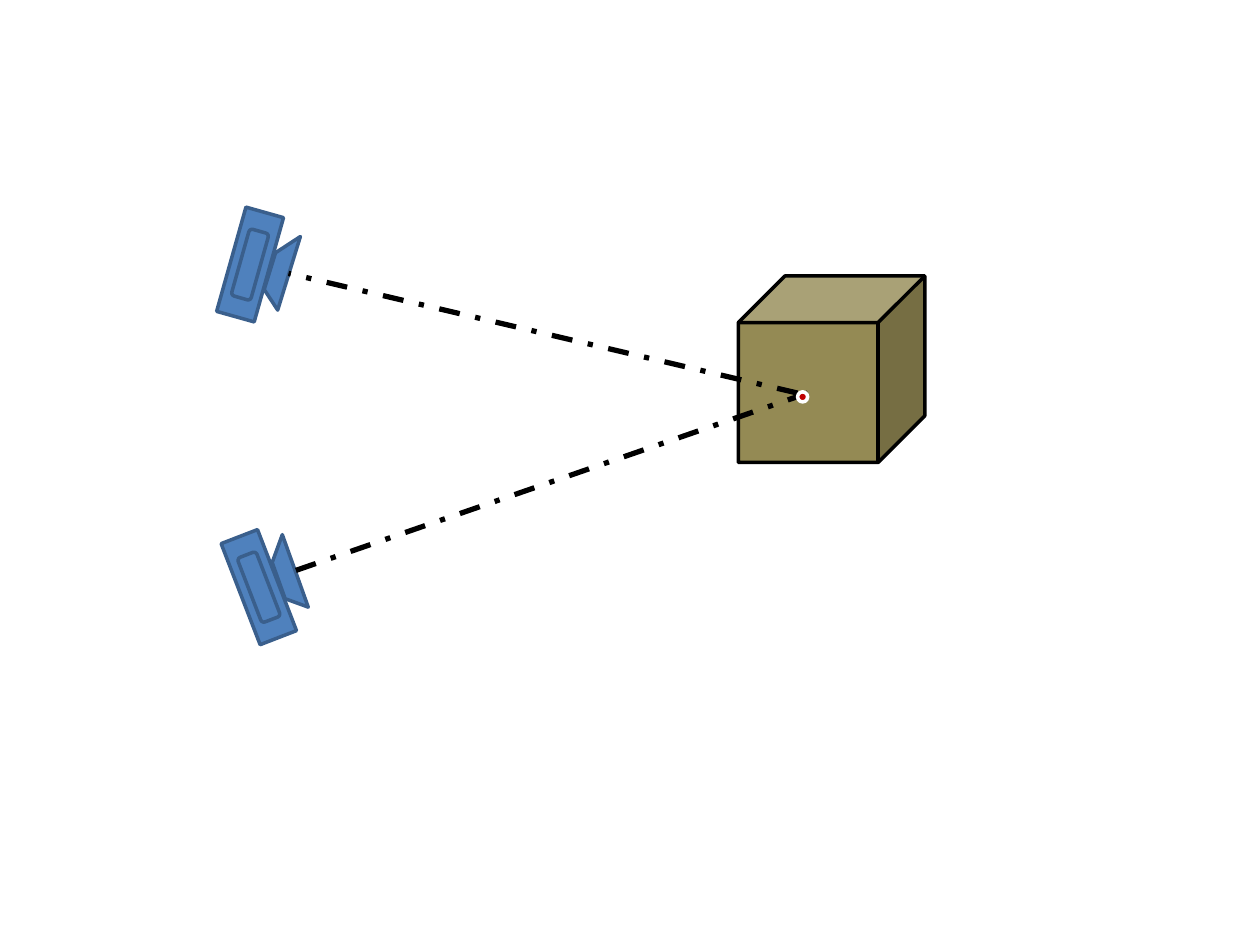
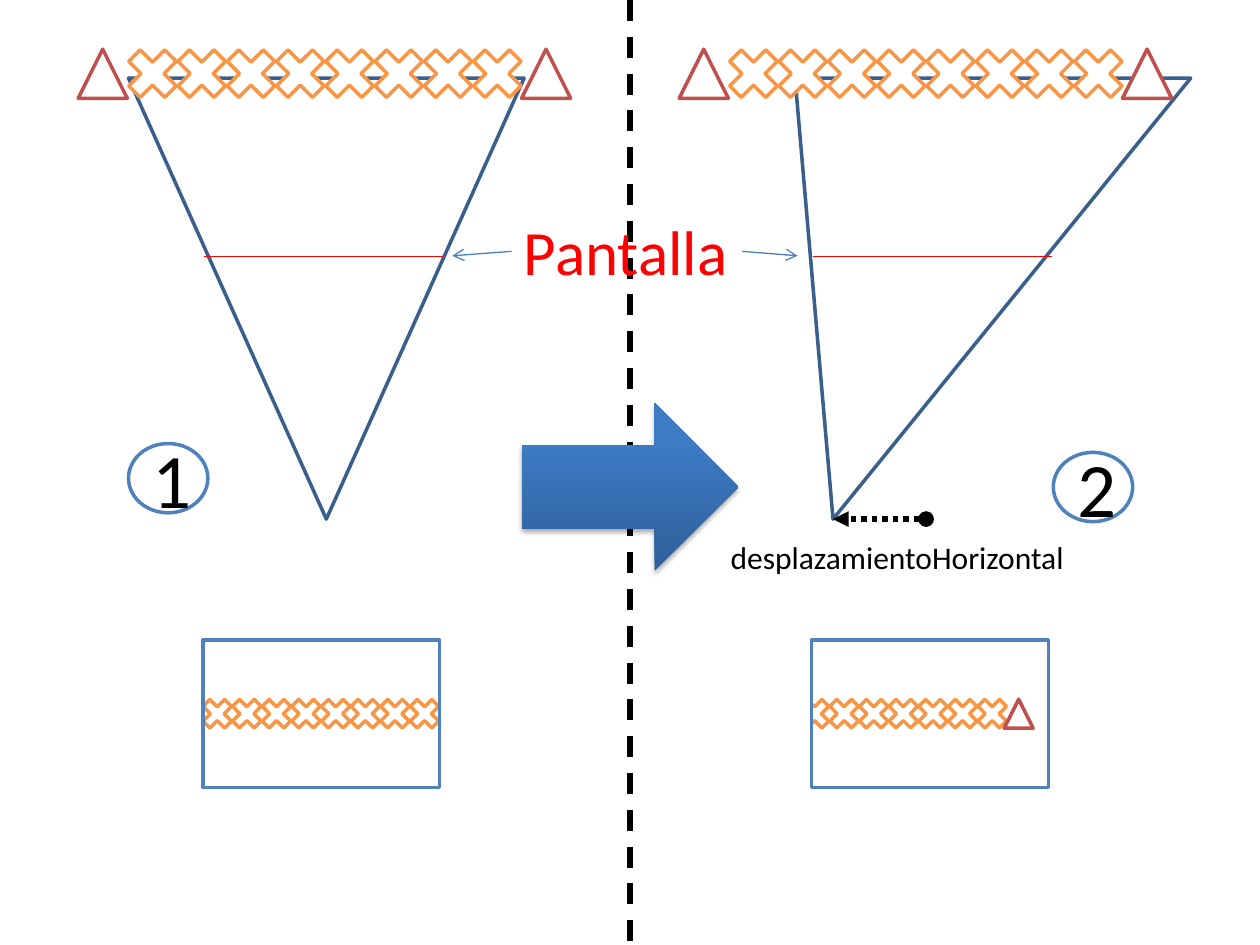
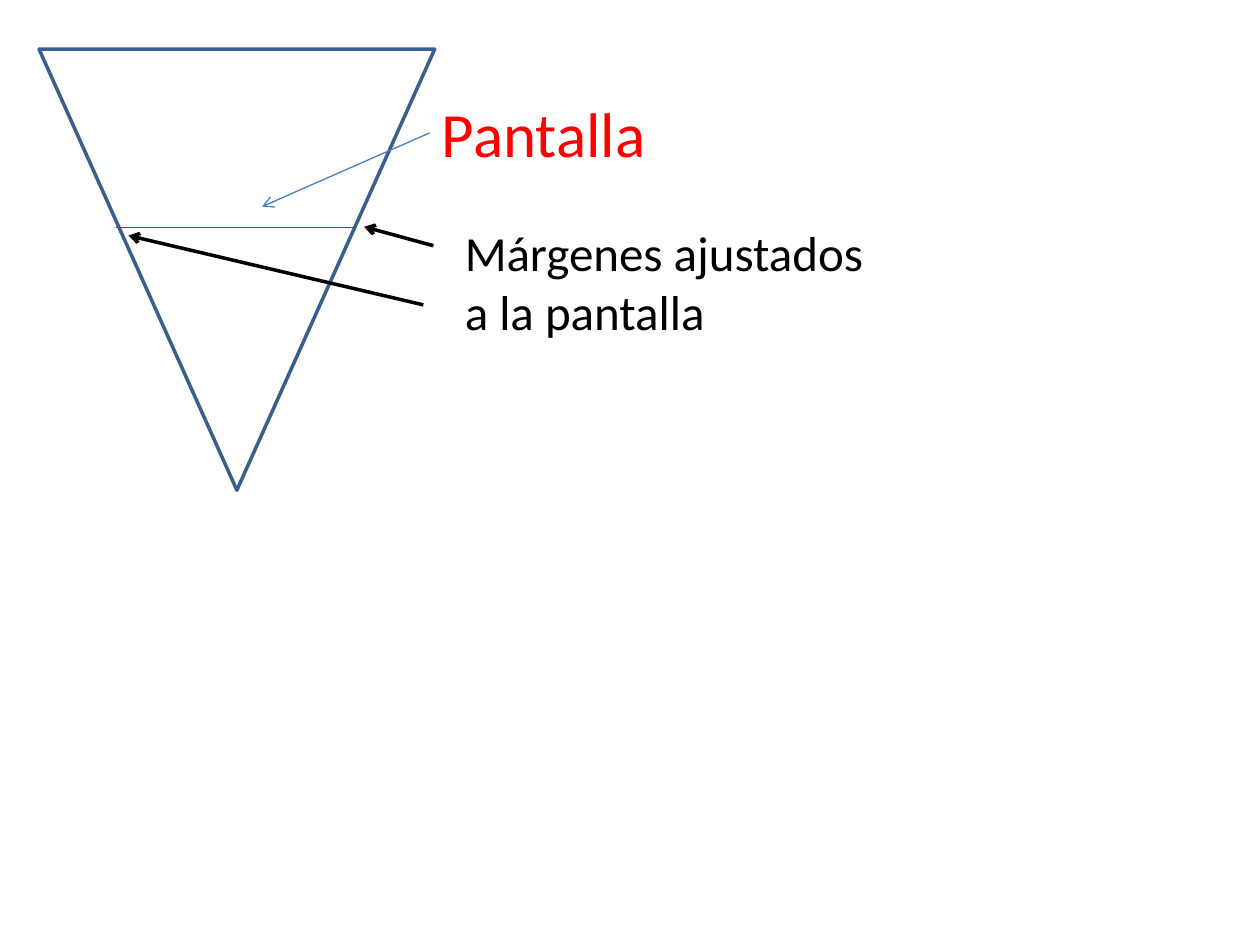
from math import cos, radians, sin
from typing import NamedTuple, Optional

from lxml.etree import SubElement
from pptx import Presentation
from pptx.dml.color import RGBColor
from pptx.enum.dml import MSO_LINE
from pptx.enum.shapes import MSO_CONNECTOR, MSO_SHAPE
from pptx.enum.text import MSO_ANCHOR, MSO_AUTO_SIZE, PP_ALIGN
from pptx.oxml.ns import qn
from pptx.shapes.autoshape import Shape
from pptx.shapes.connector import Connector
from pptx.shapes.shapetree import GroupShapes
from pptx.slide import Slide
from pptx.util import Inches, Length, Pt

# Grid: 100 columns by 75 rows of square cells on a 10 x 7.5 inch slide
COLUMNS, ROWS = 100, 75
CELL = 0.1

# Shared style
FONT = "Calibri"
BLACK, WHITE, RED = "000000", "FFFFFF", "FF0000"
BLUE, DARK_BLUE, ARROW_BLUE = "4F81BD", "3A5F8C", "4B7EBC"
ORANGE, BRICK, OLIVE, DARK_RED = "F79646", "C0504D", "948A54", "C00000"
OUTLINE, THIN, THICK = 2, 0.75, 3


class Box(NamedTuple):
    left: float
    top: float
    width: float
    height: float


class Point(NamedTuple):
    column: float
    row: float


class Part(NamedTuple):
    kind: MSO_SHAPE
    offset: Point
    width: float
    height: float
    turn: float


class Stroke(NamedTuple):
    color: str
    width: float
    dash: Optional[MSO_LINE] = None
    head: Optional[str] = None
    tail: Optional[str] = None


# Camera parts, placed around the centre of an upright camera
CAMERA = [
    Part(MSO_SHAPE.RECTANGLE, Point(0, 0), 3.1, 8.6, 0),
    Part(MSO_SHAPE.DIAGONAL_STRIPE, Point(3.16, -0.17), 4.7, 3.9, -48.9),
    Part(MSO_SHAPE.ROUNDED_RECTANGLE, Point(0, 0), 5.5, 1.6, -90),
]
SIGHT_LINE = Stroke(BLACK, THICK, MSO_LINE.DASH_DOT)
SCREEN_LINE = Stroke(RED, THIN)
LABEL_ARROW = Stroke(ARROW_BLUE, THIN, tail="arrow")
MARGIN_ARROW = Stroke(BLACK, OUTLINE, tail="arrow")


def cells(count: float) -> Length:
    return Inches(count * CELL)


def rgb(color: str) -> RGBColor:
    return RGBColor.from_string(color)


def add_shape(shapes: GroupShapes, kind: MSO_SHAPE, box: Box, fill: Optional[str] = None,
              line: Optional[str] = None, turn: float = 0) -> Shape:
    shape = shapes.add_shape(kind, *map(cells, box))
    shape.shadow.inherit = False
    shape.rotation = turn
    if fill:
        shape.fill.solid()
        shape.fill.fore_color.rgb = rgb(fill)
    else:
        shape.fill.background()
    if line:
        shape.line.color.rgb = rgb(line)
        shape.line.width = Pt(OUTLINE)
    else:
        shape.line.fill.background()
    return shape


def add_line(shapes: GroupShapes, start: Point, end: Point, stroke: Stroke) -> Connector:
    connector = shapes.add_connector(MSO_CONNECTOR.STRAIGHT, *map(cells, (*start, *end)))
    connector.line.color.rgb = rgb(stroke.color)
    connector.line.width = Pt(stroke.width)
    if stroke.dash:
        connector.line.dash_style = stroke.dash
    properties = connector._element.spPr
    outline = properties.find(qn("a:ln"))
    for tag, arrowhead in (("a:headEnd", stroke.head), ("a:tailEnd", stroke.tail)):
        if arrowhead:
            SubElement(outline, qn(tag), type=arrowhead)
    SubElement(properties, qn("a:effectLst"))
    return connector


def write(shape: Shape, lines: list[str], size: float, color: str,
          alignment: PP_ALIGN = PP_ALIGN.LEFT) -> None:
    frame = shape.text_frame
    for index, line in enumerate(lines):
        paragraph = frame.add_paragraph() if index else frame.paragraphs[0]
        paragraph.alignment = alignment
        run = paragraph.add_run()
        run.text = line
        run.font.name = FONT
        run.font.size = Pt(size)
        run.font.color.rgb = rgb(color)


def add_text(slide: Slide, box: Box, lines: list[str], size: float,
             color: str = BLACK, wrap: bool = False) -> Shape:
    text_box = slide.shapes.add_textbox(*map(cells, box))
    text_box.text_frame.word_wrap = wrap
    text_box.text_frame.auto_size = MSO_AUTO_SIZE.SHAPE_TO_FIT_TEXT
    write(text_box, lines, size, color)
    return text_box


def add_group(slide: Slide) -> GroupShapes:
    return slide.shapes.add_group_shape().shapes


def add_camera(slide: Slide, center: Point, turn: float) -> None:
    shapes = add_group(slide)
    cosine, sine = cos(radians(turn)), sin(radians(turn))
    for part in CAMERA:
        column = center.column + part.offset.column * cosine - part.offset.row * sine
        row = center.row + part.offset.column * sine + part.offset.row * cosine
        box = Box(column - part.width / 2, row - part.height / 2, part.width, part.height)
        add_shape(shapes, part.kind, box, BLUE, DARK_BLUE, (part.turn + turn) % 360)


def add_view(shapes: GroupShapes, corner: Point, screen_offset: float, apex: float = 0.5) -> None:
    """Field of view, opening upwards, with the screen across it."""
    triangle = add_shape(shapes, MSO_SHAPE.ISOSCELES_TRIANGLE, Box(*corner, 31.4, 35),
                         line=DARK_BLUE, turn=180)
    triangle.adjustments[0] = apex
    screen = Point(corner.column + screen_offset, corner.row + 14.15)
    add_line(shapes, screen, Point(screen.column + 19, screen.row), SCREEN_LINE)


def add_cross(shapes: GroupShapes, left: float, top: float, size: float) -> None:
    add_shape(shapes, MSO_SHAPE.MATH_MULTIPLY, Box(left, top, size, size), WHITE, ORANGE)


def add_object_row(shapes: GroupShapes, left: float) -> None:
    """Eight crosses between two triangles."""
    step = 3.91
    for index in range(8):
        add_cross(shapes, left + 3.15 + index * step, 3.1, 5.5)
    for triangle_left in (left, left + 9 * step):
        add_shape(shapes, MSO_SHAPE.ISOSCELES_TRIANGLE,
                  Box(triangle_left, 3.9, 3.9, 3.9), WHITE, BRICK)


def add_projection(shapes: GroupShapes, left: float, first_cross: float, crosses: int,
                   clipped: bool = False) -> None:
    """The crosses as seen inside the screen frame."""
    for index in range(crosses):
        add_cross(shapes, first_cross + index * 2.35, 55, 3.3)
        if clipped and index == 0:
            add_shape(shapes, MSO_SHAPE.RECTANGLE, Box(first_cross, 55, 1.4, 3.3), WHITE)
    add_shape(shapes, MSO_SHAPE.RECTANGLE, Box(left, 50.8, 18.8, 11.7), line=BLUE)


def add_number(slide: Slide, left: float, top: float, number: str) -> None:
    circle = add_shape(slide.shapes, MSO_SHAPE.OVAL, Box(left, top, 6.3, 5.5), WHITE, BLUE)
    circle.text_frame.vertical_anchor = MSO_ANCHOR.MIDDLE
    write(circle, [number], 44, BLACK, PP_ALIGN.CENTER)


def add_step_arrow(slide: Slide) -> None:
    arrow = add_shape(slide.shapes, MSO_SHAPE.RIGHT_ARROW, Box(41.4, 32, 17.2, 13.3))
    arrow.fill.gradient()
    arrow.fill.gradient_angle = 90
    stops = zip(arrow.fill.gradient_stops, (0, 0.8), ("2F5F99", "3D7CC7"))
    for stop, position, color in stops:
        stop.position = position
        stop.color.rgb = rgb(color)
    effects = arrow._element.spPr.find(qn("a:effectLst"))
    shadow = SubElement(effects, qn("a:outerShdw"), blurRad=str(Pt(3.1)), dist=str(Pt(1.8)),
                        dir="5400000", rotWithShape="0")
    shade = SubElement(shadow, qn("a:srgbClr"), val=BLACK)
    SubElement(shade, qn("a:alpha"), val="35000")


def add_screen_label(slide: Slide, left: float, top: float) -> Shape:
    return add_text(slide, Box(left, top, 18.3, 7.1), ["Pantalla"], 36, RED)


def add_label_arrow(slide: Slide, label: Shape, side: int, end: Point) -> None:
    connector = add_line(slide.shapes, end, end, LABEL_ARROW)
    connector.begin_connect(label, side)


def build_cameras(slide: Slide) -> None:
    add_camera(slide, Point(19.85, 21), 15.7)
    add_camera(slide, Point(20.55, 46.6), -21.1)
    add_shape(slide.shapes, MSO_SHAPE.CUBE, Box(58.6, 21.9, 14.8, 14.8), OLIVE, BLACK)
    add_line(slide.shapes, Point(64.1, 31.2), Point(23.4, 45.3), SIGHT_LINE)
    add_line(slide.shapes, Point(63.3, 31.2), Point(22.9, 21.7), SIGHT_LINE)
    add_shape(slide.shapes, MSO_SHAPE.OVAL, Box(63.3, 31.1, 0.8, 0.8), DARK_RED, WHITE)


def build_shift(slide: Slide) -> None:
    # Divider, step arrow and labels
    add_line(slide.shapes, Point(COLUMNS / 2, 0), Point(COLUMNS / 2, ROWS),
             Stroke(BLACK, THICK, MSO_LINE.DASH))
    add_step_arrow(slide)
    label = add_screen_label(slide, 40.6, 16.4)
    add_label_arrow(slide, label, 1, Point(35.9, 20.3))
    add_label_arrow(slide, label, 3, Point(63.3, 20.3))
    add_number(slide, 10.2, 35.2, "1")
    add_number(slide, 83.6, 35.9, "2")

    # Left half: centred view
    add_projection(add_group(slide), 16.1, 15.6, 8)
    centred = add_group(slide)
    add_view(centred, Point(10.2, 6.2), 6)
    add_object_row(centred, 6.2)

    # Right half: view moved sideways
    shifted = add_group(slide)
    add_view(shifted, Point(63.1, 6.2), 1.4, 0.904)
    add_object_row(shifted, 53.9)
    add_line(shifted, Point(73.5, 41.2), Point(66.1, 41.2),
             Stroke(BLACK, THICK, MSO_LINE.ROUND_DOT, "oval", "triangle"))
    projection = add_group(slide)
    add_projection(projection, 64.4, 63, 7, clipped=True)
    add_shape(projection, MSO_SHAPE.ISOSCELES_TRIANGLE, Box(79.7, 55.5, 2.3, 2.3), WHITE, BRICK)
    add_text(slide, Box(57, 42.2, 29.1, 4), ["desplazamientoHorizontal"], 18, wrap=True)


def build_margins(slide: Slide) -> None:
    add_view(add_group(slide), Point(3.1, 3.9), 6.1)
    add_text(slide, Box(35.9, 17.2, 34.9, 10.4), ["Márgenes ajustados", "a la pantalla"], 28)
    add_line(slide.shapes, Point(34.4, 19.5), Point(28.9, 18), MARGIN_ARROW)
    add_line(slide.shapes, Point(33.6, 24.2), Point(10.2, 18.7), MARGIN_ARROW)
    label = add_screen_label(slide, 34.1, 7)
    add_label_arrow(slide, label, 1, Point(20.8, 16.4))


def main() -> None:
    presentation = Presentation()
    presentation.slide_width = cells(COLUMNS)
    presentation.slide_height = cells(ROWS)
    blank = presentation.slide_layouts[6]
    for build in (build_cameras, build_shift, build_margins):
        build(presentation.slides.add_slide(blank))
    presentation.save("out.pptx")


if __name__ == "__main__":
    main()
